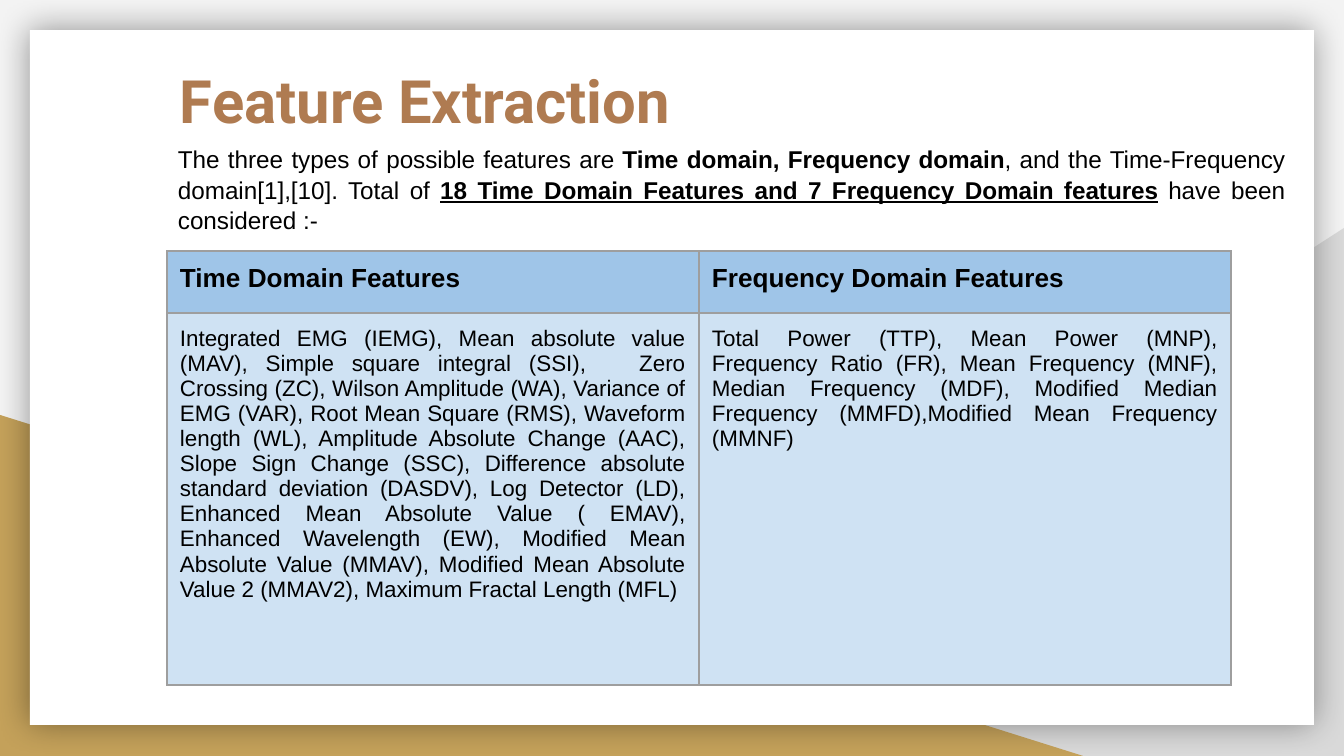
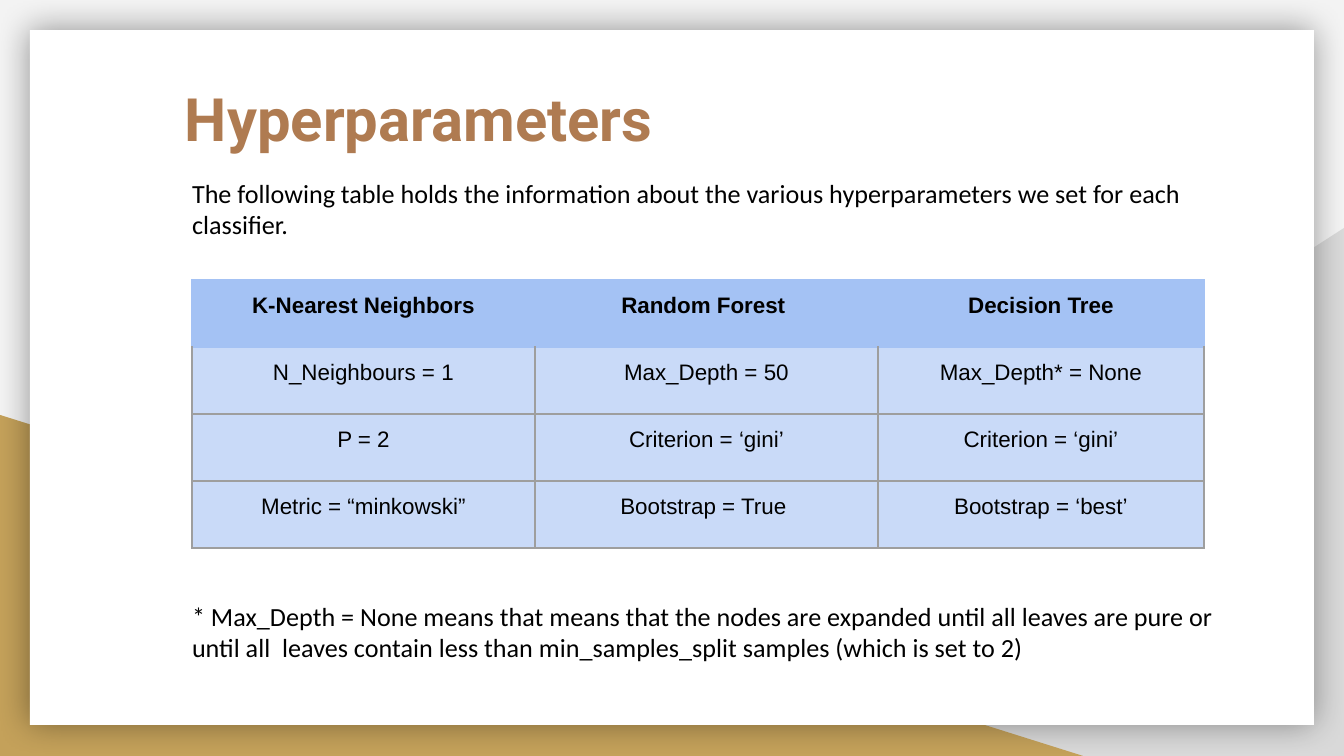
from lxml import etree
from pptx import Presentation
from pptx.dml.color import RGBColor
from pptx.enum.shapes import MSO_SHAPE
from pptx.enum.text import PP_ALIGN
from pptx.oxml.ns import qn
from pptx.util import Pt

RIGHT_TRIANGLE, RECTANGLE = MSO_SHAPE.RIGHT_TRIANGLE, MSO_SHAPE.RECTANGLE
LEFT, CENTER, JUSTIFY = PP_ALIGN.LEFT, PP_ALIGN.CENTER, PP_ALIGN.JUSTIFY

EMU_PER_PX = 914400 / 134.4
SLIDE_WIDTH, SLIDE_HEIGHT = 1344, 756
INSET = 13

BACKGROUND = RGBColor(0xF3, 0xF3, 0xF3)
SILVER = RGBColor(0xD9, 0xD9, 0xD9)
GOLD = RGBColor(0xC4, 0xA1, 0x5A)
WHITE = RGBColor(0xFF, 0xFF, 0xFF)
BLACK = RGBColor(0x00, 0x00, 0x00)
BROWN = RGBColor(0xAF, 0x7B, 0x51)
GRID_GRAY = RGBColor(0x9E, 0x9E, 0x9E)
SKY, PALE_SKY = RGBColor(0x9F, 0xC5, 0xE8), RGBColor(0xCF, 0xE2, 0xF3)
CORNFLOWER, PALE_CORNFLOWER = RGBColor(0xA4, 0xC2, 0xF4), RGBColor(0xC9, 0xDA, 0xF8)

# Content: runs are (text, bold, underline)
FEATURE_INTRO = [
    ("The three types of possible features are ", False, False),
    ("Time domain, Frequency domain", True, False),
    (", and the Time-Frequency domain[1],[10]. Total of ", False, False),
    ("18 Time Domain Features and 7 Frequency Domain features", True, True),
    (" have been considered :-", False, False),
]
FEATURE_ROWS = [
    ("Time Domain Features", "Frequency Domain Features"),
    (
        "Integrated EMG (IEMG), Mean absolute value (MAV), Simple square integral (SSI),   "
        "Zero Crossing (ZC), Wilson Amplitude (WA), Variance of EMG (VAR), Root Mean Square "
        "(RMS), Waveform length (WL), Amplitude Absolute Change (AAC), Slope Sign Change (SSC), "
        "Difference absolute standard deviation (DASDV), Log Detector (LD), Enhanced Mean "
        "Absolute Value ( EMAV), Enhanced Wavelength (EW), Modified Mean Absolute Value (MMAV), "
        "Modified Mean Absolute Value 2 (MMAV2), Maximum Fractal Length (MFL)",
        "Total Power (TTP), Mean Power (MNP), Frequency Ratio (FR), Mean Frequency (MNF), "
        "Median Frequency (MDF), Modified Median Frequency (MMFD),Modified Mean Frequency (MMNF)",
    ),
]
CLASSIFIER_INTRO = [
    ("The following table holds the information about the various hyperparameters "
     "we set for each classifier.", False, False),
]
CLASSIFIER_ROWS = [
    ("K-Nearest Neighbors", "Random Forest ", "Decision Tree"),
    ("N_Neighbours = 1", "Max_Depth = 50", "Max_Depth* = None"),
    ("P = 2", "Criterion = ‘gini’", "Criterion = ‘gini’"),
    ("Metric = “minkowski”", "Bootstrap = True ", "Bootstrap = ‘best’"),
]
DEPTH_NOTE = [
    ("* Max_Depth = None means that means that the nodes are expanded until all leaves are "
     "pure or until all  leaves contain less than min_samples_split samples "
     "(which is set to 2)", False, False),
]


def px(*lengths):
    return [round(length * EMU_PER_PX) for length in lengths]


def style_paragraph(paragraph, font_name, size, color, align):
    paragraph.alignment = align
    font = paragraph.font
    font.name, font.size, font.color.rgb = font_name, Pt(size), color


def set_margins(holder):
    (margin,) = px(INSET)
    holder.margin_left = holder.margin_right = margin
    holder.margin_top = holder.margin_bottom = margin


def add_text(slide, box, runs, font_name, size, color=BLACK, align=LEFT, line_spacing=1.0):
    frame = slide.shapes.add_textbox(*px(*box)).text_frame
    frame.word_wrap = True
    set_margins(frame)
    paragraph = frame.paragraphs[0]
    style_paragraph(paragraph, font_name, size, color, align)
    paragraph.line_spacing = line_spacing
    for text, bold, underline in runs:
        run = paragraph.add_run()
        run.text = text
        run.font.bold, run.font.underline = bold, underline


def add_plain_shape(slide, kind, box, color):
    shape = slide.shapes.add_shape(kind, *px(*box))
    shape.shadow.inherit = False
    shape.fill.solid()
    shape.fill.fore_color.rgb = color
    shape.line.fill.background()
    return shape


def add_soft_shadow(shape):
    effects = shape.element.spPr.find(qn("a:effectLst"))
    shadow = etree.SubElement(effects, qn("a:outerShdw"), blurRad=str(Pt(18)), dist="0",
                              dir="0", algn="ctr", rotWithShape="0")
    color = etree.SubElement(shadow, qn("a:srgbClr"), val=str(BLACK))
    etree.SubElement(color, qn("a:alpha"), val="40000")


def add_themed_slide(presentation, title, title_box):
    slide = presentation.slides.add_slide(presentation.slide_layouts[6])
    slide.background.fill.solid()
    slide.background.fill.fore_color.rgb = BACKGROUND
    # Corner triangles behind a white card
    silver_corner = add_plain_shape(slide, RIGHT_TRIANGLE, (527, 228, 817, 528), SILVER)
    silver_corner.element.spPr.xfrm.set("flipH", "1")
    add_plain_shape(slide, RIGHT_TRIANGLE, (0, 415, 1083, 341), GOLD)
    add_soft_shadow(add_plain_shape(slide, RECTANGLE, (30, 30, 1284, 695), WHITE))
    add_text(slide, title_box, [(title, True, False)], "Roboto", 32, BROWN)
    return slide


def set_borders(cell, colors):
    properties = cell._tc.get_or_add_tcPr()
    for index, (side, color) in enumerate(zip("LRTB", colors)):
        line = etree.Element(qn(f"a:ln{side}"), w=str(Pt(0.75)))
        fill = etree.SubElement(line, qn("a:solidFill"))
        etree.SubElement(fill, qn("a:srgbClr"), val=str(color))
        properties.insert(index, line)


def add_grid(slide, origin, widths, heights, rows, fills, header_size, header_align,
             body_align, header_border):
    box = (*origin, sum(widths), sum(heights))
    table = slide.shapes.add_table(len(rows), len(widths), *px(*box)).table
    for column, width in zip(table.columns, px(*widths)):
        column.width = width
    for row, height in zip(table.rows, px(*heights)):
        row.height = height
    for row_index, texts in enumerate(rows):
        is_header = row_index == 0
        side = header_border if is_header else GRID_GRAY
        top = header_border if row_index < 2 else GRID_GRAY
        for column_index, text in enumerate(texts):
            cell = table.cell(row_index, column_index)
            cell.text = text
            set_margins(cell)
            cell.fill.solid()
            cell.fill.fore_color.rgb = fills[0] if is_header else fills[1]
            set_borders(cell, (side, side, top, side))
            paragraph = cell.text_frame.paragraphs[0]
            style_paragraph(paragraph, "Arial", header_size if is_header else 12, BLACK,
                            header_align if is_header else body_align)
            paragraph.font.bold = is_header


def build_features(presentation):
    slide = add_themed_slide(presentation, "Feature Extraction", (167, 51, 1075, 81))
    add_text(slide, (165, 130, 1133, 90), FEATURE_INTRO, "Arial", 13,
             align=JUSTIFY, line_spacing=1.05)
    add_grid(slide, (167, 251), [532] * 2, [62, 372], FEATURE_ROWS, (SKY, PALE_SKY),
             14, LEFT, JUSTIFY, GRID_GRAY)


def build_hyperparameters(presentation):
    slide = add_themed_slide(presentation, "Hyperparameters", (172, 69, 681, 86))
    add_grid(slide, (192, 280), [343, 343, 326], [67] * 4, CLASSIFIER_ROWS,
             (CORNFLOWER, PALE_CORNFLOWER), 12, CENTER, CENTER, CORNFLOWER)
    for top, height, runs in ((587, 86, DEPTH_NOTE), (164, 66, CLASSIFIER_INTRO)):
        add_text(slide, (179, top, 1067, height), runs, "Calibri", 14)


def main():
    presentation = Presentation()
    presentation.slide_width, presentation.slide_height = px(SLIDE_WIDTH, SLIDE_HEIGHT)
    build_features(presentation)
    build_hyperparameters(presentation)
    presentation.save("out.pptx")


if __name__ == "__main__":
    main()
